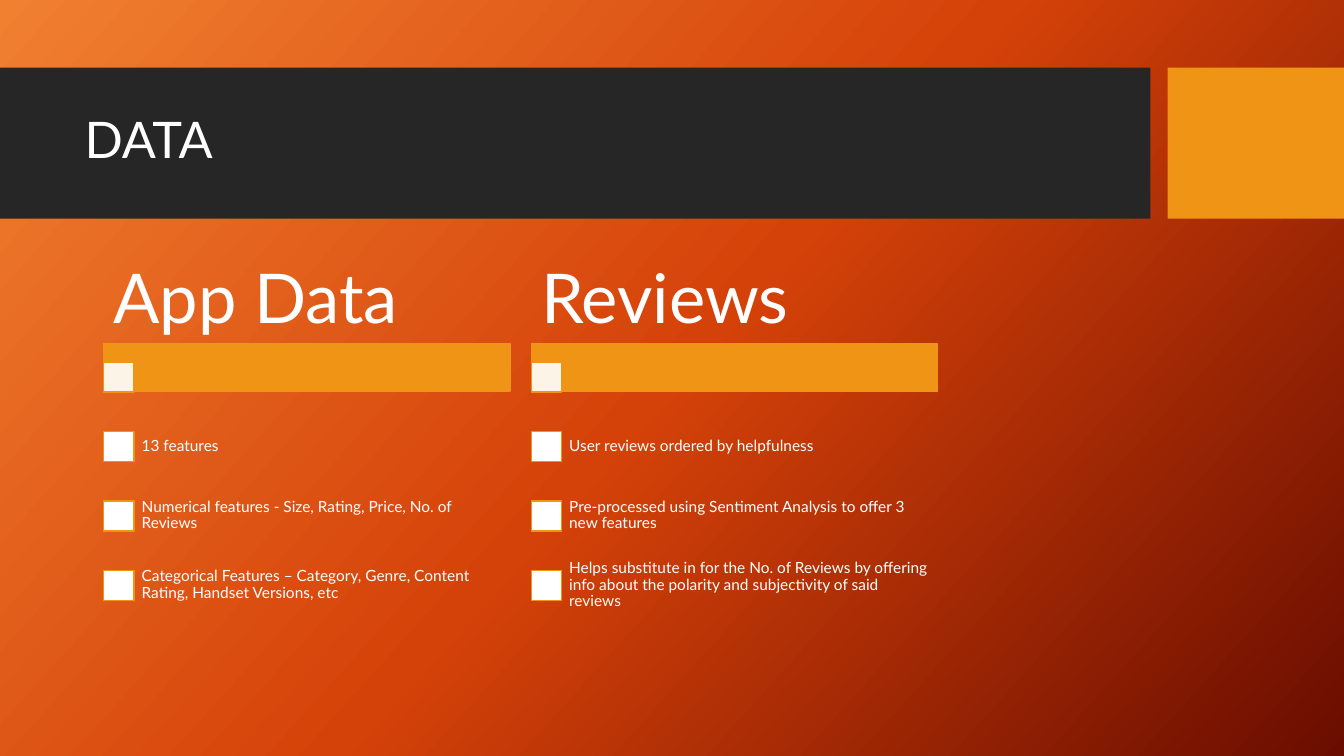
from copy import deepcopy

from lxml.etree import SubElement
from pptx import Presentation
from pptx.dml.color import RGBColor
from pptx.enum.shapes import MSO_SHAPE
from pptx.enum.text import MSO_ANCHOR
from pptx.oxml.ns import qn
from pptx.util import Inches, Pt

WHITE = RGBColor(0xFF, 0xFF, 0xFF)
CHARCOAL = RGBColor(0x26, 0x26, 0x26)
AMBER = RGBColor(0xF0, 0x94, 0x15)
BACKDROP = [
    RGBColor(0xF1, 0x80, 0x31),
    RGBColor(0xD5, 0x42, 0x09),
    RGBColor(0x6A, 0x0D, 0x00),
]

FONT = "Lato"
BAND_TOP, BAND_HEIGHT = 0.67, 1.5
COLUMN_LEFT, COLUMN_PITCH, COLUMN_WIDTH = 1.03, 4.24, 4.03
HEADING_TOP, HEADING_HEIGHT = 2.56, 0.85
BAR_TOP, BAR_HEIGHT = 3.41, 0.47
ROW_TOP, ROW_HEIGHT = 4.08, 0.69
BOX_SIZE, BOX_DROP, TEXT_INDENT = 0.3, 0.2, 0.285

DATASETS = [
    ("App Data", [
        "13 features",
        "Numerical features - Size, Rating, Price, No. of Reviews",
        "Categorical Features – Category, Genre, Content Rating, Handset Versions, etc",
    ]),
    ("Reviews", [
        "User reviews ordered by helpfulness",
        "Pre-processed using Sentiment Analysis to offer 3 new features",
        "Helps substitute in for the No. of Reviews by offering info about "
        "the polarity and subjectivity of said reviews",
    ]),
]


def paint_background(slide):
    fill = slide.background.fill
    fill.gradient()
    fill.gradient_angle = 360 - 42
    first_stop = fill.gradient_stops[0]
    first_stop.color.rgb = BACKDROP[0]
    stop_list = slide.element.find(".//" + qn("a:gsLst"))
    stop_list.insert(1, deepcopy(stop_list[0]))
    for index, (stop, color) in enumerate(zip(fill.gradient_stops, BACKDROP)):
        stop.position = index / 2
        stop.color.rgb = color


def add_block(slide, left, top, width, height, color, outline=None, opacity=None):
    block = slide.shapes.add_shape(
        MSO_SHAPE.RECTANGLE, Inches(left), Inches(top), Inches(width), Inches(height))
    block.shadow.inherit = False
    block.fill.solid()
    block.fill.fore_color.rgb = color
    if outline is None:
        block.line.fill.background()
    else:
        block.line.color.rgb = outline
        block.line.width = Pt(1)
    if opacity is not None:
        tint = block.element.spPr.find(qn("a:solidFill"))[0]
        SubElement(tint, qn("a:alpha"), val=str(opacity * 1000))


def add_text(slide, text, left, top, width, height, size=11, inset=(0.09, 0.09)):
    box = slide.shapes.add_textbox(
        Inches(left), Inches(top), Inches(width), Inches(height))
    frame = box.text_frame
    frame.word_wrap = True
    frame.vertical_anchor = MSO_ANCHOR.MIDDLE
    frame.margin_left = frame.margin_right = Inches(inset[0])
    frame.margin_top = frame.margin_bottom = Inches(inset[1])
    paragraph = frame.paragraphs[0]
    paragraph.line_spacing = 0.9
    run = paragraph.add_run()
    run.text = text
    run.font.name = FONT
    run.font.size = Pt(size)
    run.font.color.rgb = WHITE


def add_title_band(slide, title):
    add_block(slide, 0, BAND_TOP, 11.41, BAND_HEIGHT, CHARCOAL)
    add_block(slide, 11.58, BAND_TOP, 1.75, BAND_HEIGHT, AMBER)
    add_text(slide, title, 0.74, 0.82, 10.51, 1.18, size=36, inset=(0.1, 0.05))


def add_dataset(slide, column, heading, features):
    left = COLUMN_LEFT + column * COLUMN_PITCH
    add_block(slide, left, BAR_TOP, COLUMN_WIDTH, BAR_HEIGHT, AMBER, outline=AMBER)
    add_block(slide, left, BAR_TOP + 0.18, BOX_SIZE, BOX_SIZE, WHITE,
              outline=AMBER, opacity=90)
    add_text(slide, heading, left, HEADING_TOP, COLUMN_WIDTH, HEADING_HEIGHT,
             size=49, inset=(0.1, 0.07))
    for row, feature in enumerate(features):
        top = ROW_TOP + row * ROW_HEIGHT
        add_block(slide, left, top + BOX_DROP, BOX_SIZE, BOX_SIZE, WHITE, outline=AMBER)
        add_text(slide, feature, left + TEXT_INDENT, top,
                 COLUMN_WIDTH - TEXT_INDENT, ROW_HEIGHT)


def main():
    deck = Presentation()
    deck.slide_width = Inches(13.33)
    deck.slide_height = Inches(7.5)
    slide = deck.slides.add_slide(deck.slide_layouts[6])
    paint_background(slide)
    add_title_band(slide, "DATA")
    for column, (heading, features) in enumerate(DATASETS):
        add_dataset(slide, column, heading, features)
    deck.save("out.pptx")


if __name__ == "__main__":
    main()
